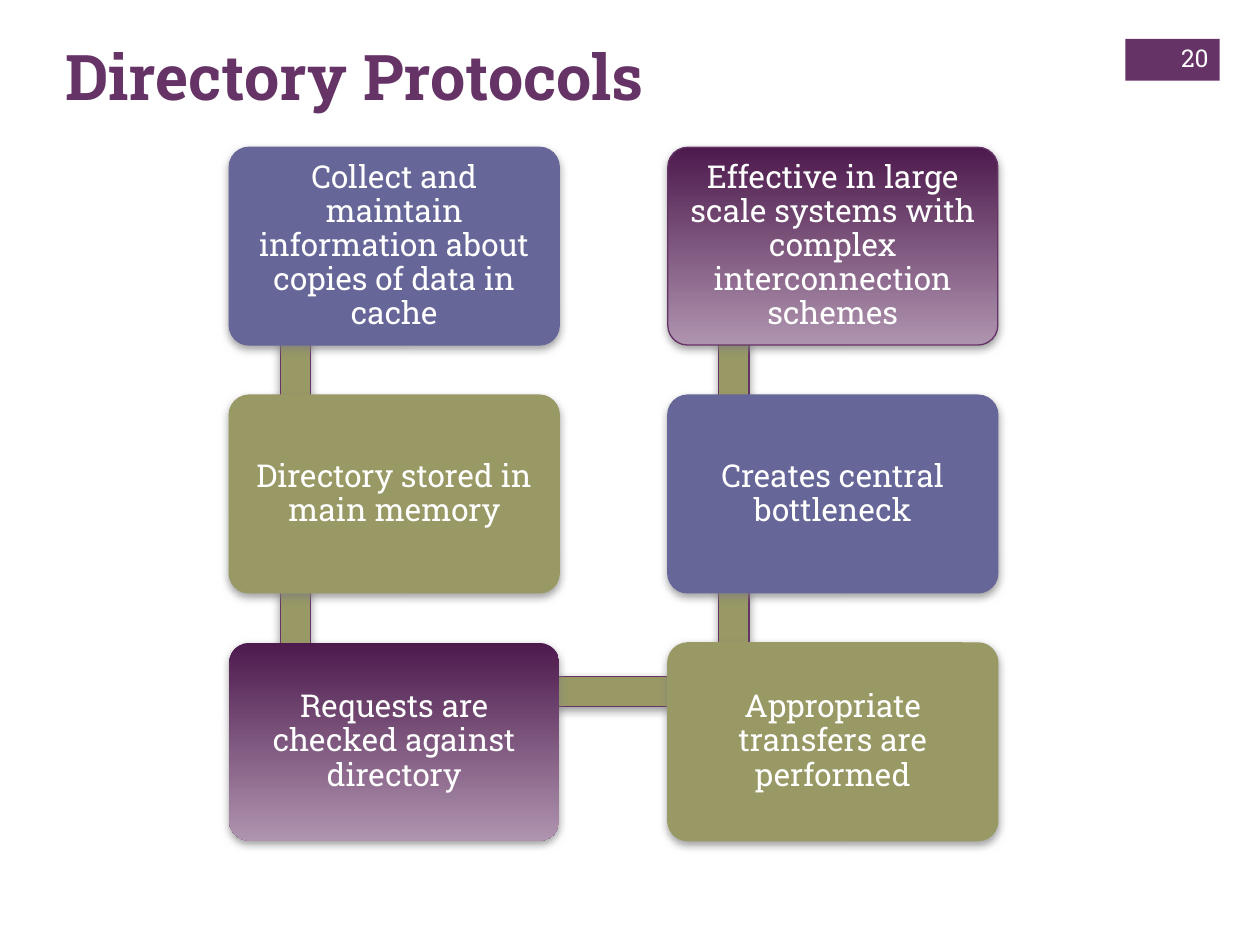
from lxml import etree
from pptx import Presentation
from pptx.dml.color import RGBColor
from pptx.enum.shapes import MSO_SHAPE
from pptx.enum.text import MSO_ANCHOR, PP_ALIGN
from pptx.oxml.ns import qn
from pptx.util import Pt

RECT, ROUND = MSO_SHAPE.RECTANGLE, MSO_SHAPE.ROUNDED_RECTANGLE
TOP, MIDDLE = MSO_ANCHOR.TOP, MSO_ANCHOR.MIDDLE
LEFT, CENTER, RIGHT = PP_ALIGN.LEFT, PP_ALIGN.CENTER, PP_ALIGN.RIGHT
FONT = "Roboto Slab"
PLUM, BLUE, OLIVE, WHITE = "663366", "666699", "999966", "FFFFFF"
FADE = ("4D1A4D", "AF94AF")
CARD_W, CARD_H = 188.6, 113
COLS = (131, 381.6)
ROW_TOP, ROW_STEP = 84.2, 141.6
BAR_LEN, BAR_H = 140.4, 17.3

STEPS = [
    (0, 0, "Collect and maintain information about copies of data in cache", BLUE, BLUE),
    (0, 1, "Directory stored in main memory", OLIVE, OLIVE),
    (0, 2, "Requests are checked against directory", FADE, None),
    (1, 2, "Appropriate transfers are performed", OLIVE, OLIVE),
    (1, 1, "Creates central bottleneck", BLUE, BLUE),
    (1, 0, "Effective in large scale systems with complex interconnection schemes", FADE, PLUM),
]


def color(code):
    return RGBColor.from_string(code)


def paint(shape, fill, line):
    if isinstance(fill, tuple):
        shape.fill.gradient()
        shape.fill.gradient_angle = 270
        for stop, code, pos in zip(shape.fill.gradient_stops, fill, (0, 1)):
            stop.color.rgb = color(code)
            stop.position = pos
    else:
        shape.fill.solid()
        shape.fill.fore_color.rgb = color(fill)
    if line:
        shape.line.color.rgb = color(line)
        shape.line.width = Pt(0.75)
    else:
        shape.line.fill.background()


def add_shadow(shape):
    effects = shape._element.spPr.find(qn("a:effectLst"))
    outer = etree.SubElement(effects, qn("a:outerShdw"), blurRad=str(Pt(5)),
                             dist=str(Pt(2)), dir="5400000", rotWithShape="0")
    tone = etree.SubElement(outer, qn("a:srgbClr"), val="808080")
    etree.SubElement(tone, qn("a:alpha"), val="75000")


def add_box(slide, kind, x, y, w, h, fill, line=None, shade=True):
    shape = slide.shapes.add_shape(kind, Pt(x), Pt(y), Pt(w), Pt(h))
    shape.shadow.inherit = False
    paint(shape, fill, line)
    if shade:
        add_shadow(shape)
    return shape


def write(shape, text, size, code, align, anchor, bold=False):
    frame = shape.text_frame
    frame.word_wrap = True
    frame.vertical_anchor = anchor
    para = frame.paragraphs[0]
    para.alignment = align
    run = para.add_run()
    run.text = text
    run.font.name = FONT
    run.font.size = Pt(size)
    run.font.bold = bold
    run.font.color.rgb = color(code)
    return frame


def add_label(slide, x, y, w, h, *style):
    write(slide.shapes.add_textbox(Pt(x), Pt(y), Pt(w), Pt(h)), *style)


def add_card(slide, x, y, text, fill, line):
    card = add_box(slide, ROUND, x, y, CARD_W, CARD_H, fill, line)
    card.adjustments[0] = 0.1
    frame = write(card, text, 18, WHITE, CENTER, MIDDLE)
    frame.margin_left = frame.margin_right = Pt(5)
    frame.margin_top = frame.margin_bottom = Pt(5)
    para = frame.paragraphs[0]
    para.line_spacing = 0.9
    para.space_after = Pt(6.3)


def add_link(slide, col, row, to_col, to_row):
    x, y = COLS[col], ROW_TOP + min(row, to_row) * ROW_STEP
    if col != to_col:
        add_box(slide, RECT, x + 38.2, y + 19.2, COLS[1] - COLS[0], BAR_H, OLIVE, PLUM)
        return
    bar = add_box(slide, RECT, x - 32.4, y + 90, BAR_LEN, BAR_H, OLIVE, PLUM)
    bar.rotation = 90 if to_row > row else 270


def main():
    deck = Presentation()
    deck.slide_width, deck.slide_height = Pt(720), Pt(540)
    slide = deck.slides.add_slide(deck.slide_layouts[6])
    add_box(slide, RECT, 643, 22.3, 54, 23.8, PLUM, shade=False)
    for i, (col, row, text, fill, line) in enumerate(STEPS):
        if i + 1 < len(STEPS):
            add_link(slide, col, row, *STEPS[i + 1][:2])
        add_card(slide, COLS[col], ROW_TOP + row * ROW_STEP, text, fill, line)
    add_label(slide, 30.2, 18, 594.7, 87.8, "Directory Protocols", 36, PLUM, LEFT, TOP, True)
    add_label(slide, 653.8, 18.7, 43.9, 28.8, "20", 14, WHITE, RIGHT, MIDDLE)
    deck.save("out.pptx")


if __name__ == "__main__":
    main()
